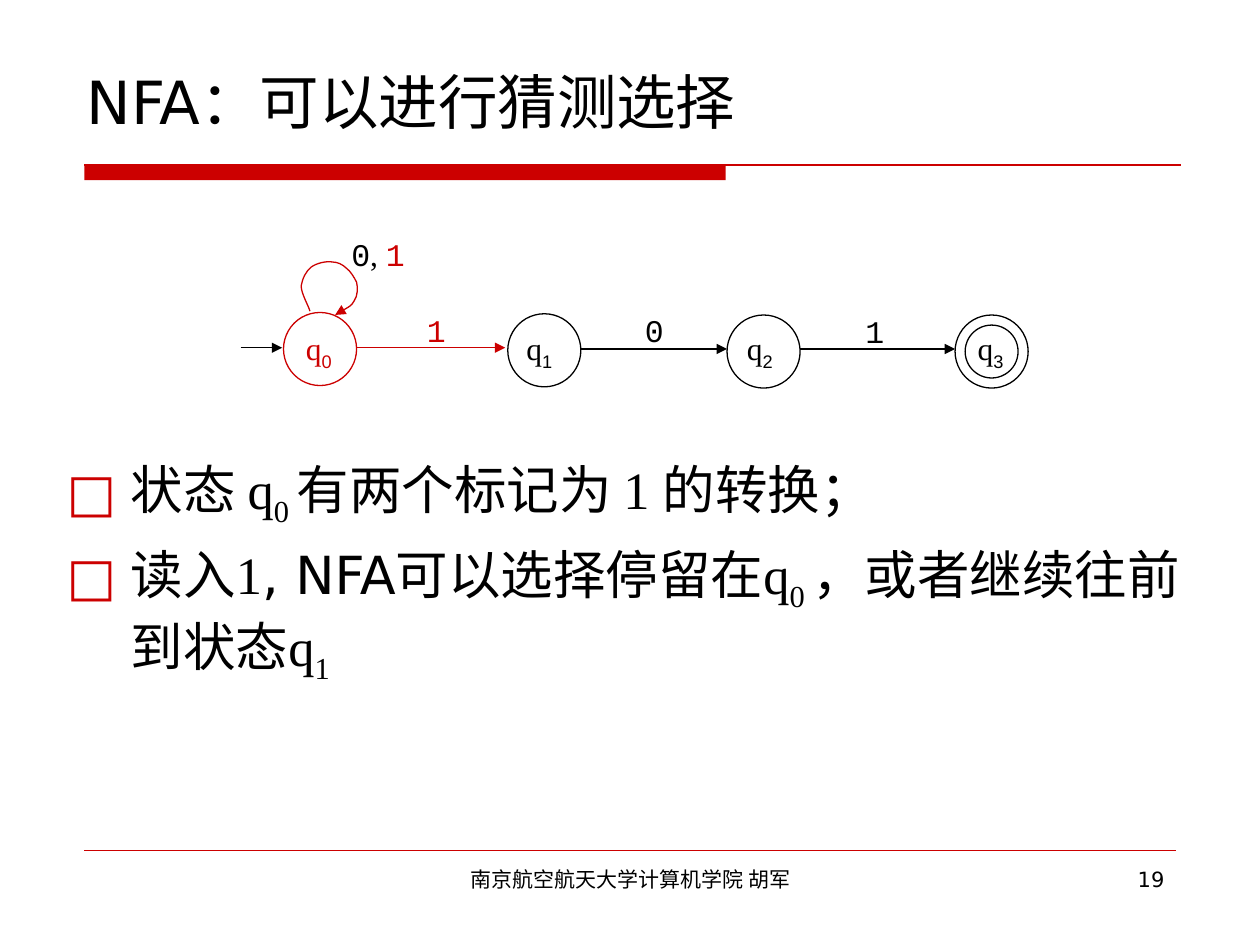
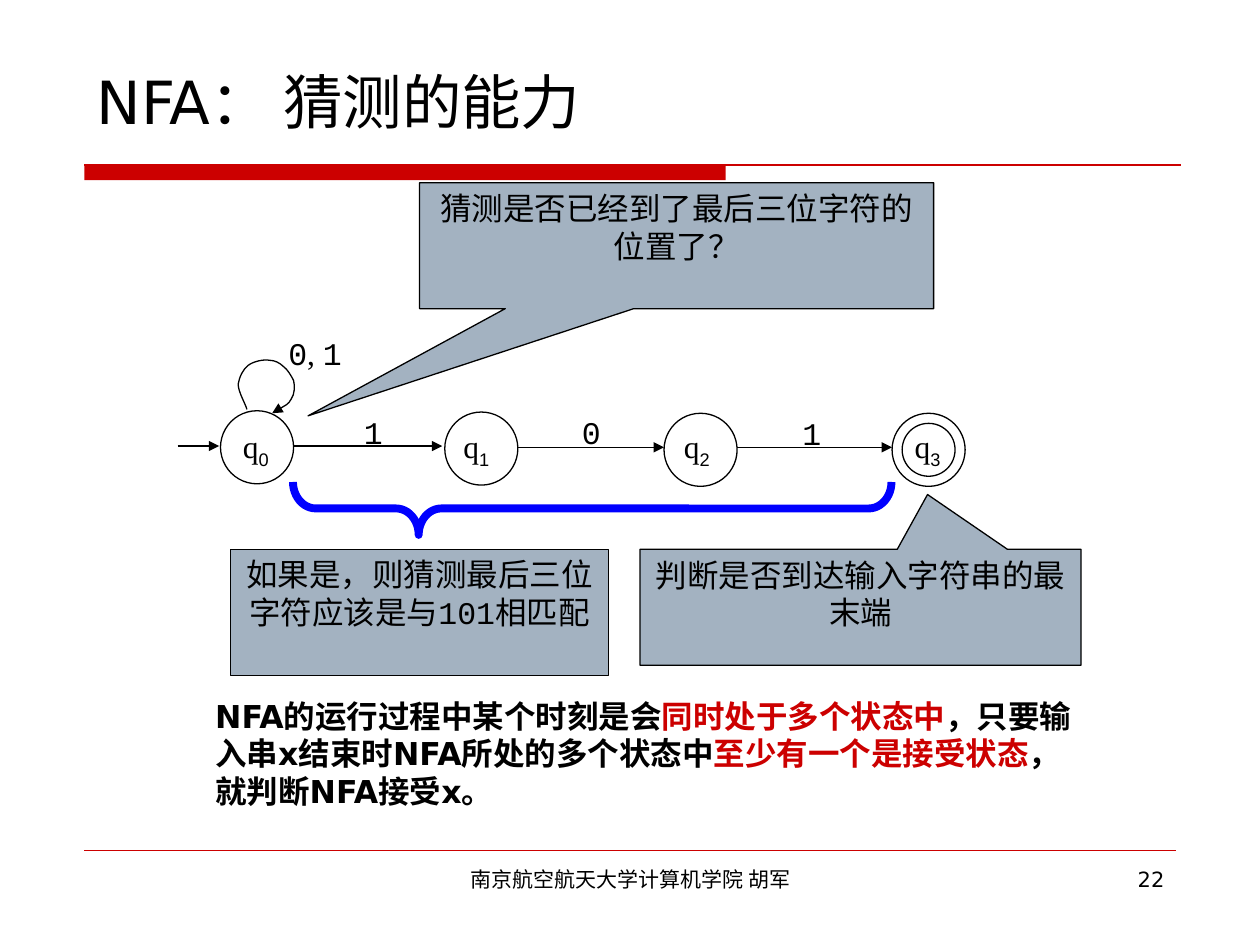
import dataclasses
from typing import Optional

import lxml.etree
import pptx
import pptx.dml.color
import pptx.enum.shapes
import pptx.enum.text
import pptx.oxml.ns
import pptx.util

Inches = pptx.util.Inches
Pt = pptx.util.Pt
Shape = pptx.enum.shapes.MSO_SHAPE
Align = pptx.enum.text.PP_ALIGN
Anchor = pptx.enum.text.MSO_ANCHOR
qn = pptx.oxml.ns.qn


@dataclasses.dataclass(frozen=True)
class Theme:
    red: str = "CC0000"
    black: str = "000000"
    white: str = "FFFFFF"
    blue: str = "0000FF"
    note: str = "A3B2C1"
    sans: str = "DejaVu Sans"
    serif: str = "Times New Roman"
    mono: str = "Courier New"
    index: str = "Arial"
    title_size: float = 34
    body_size: float = 30
    label_size: float = 18
    footer_size: float = 12
    thin: float = 0.75
    hairline: float = 0.25
    brace: float = 4.5


@dataclasses.dataclass(frozen=True)
class Span:
    text: str
    font: Optional[str] = None
    color: Optional[str] = None
    sub: bool = False


THEME = Theme()
STATES = [(0, 0, 0.08), (1.78, 0.01, 0.05), (3.52, 0.02, 0.06), (5.33, 0.02, 0.08)]
MOVES = [(0.58, 1.76, 0.28), (2.34, 3.52, 0.29), (4.07, 5.33, 0.29)]
SYMBOLS = [("1", 1.04, 0), ("0", 2.77, 0), ("1", 4.52, 0.01)]
LOOP = [
    (0.21, -0.01),
    (0.20, -0.05), (0.14, -0.15), (0.14, -0.21),
    (0.15, -0.27), (0.18, -0.33), (0.22, -0.36),
    (0.26, -0.39), (0.34, -0.41), (0.39, -0.40),
    (0.43, -0.40), (0.47, -0.38), (0.50, -0.35),
    (0.53, -0.33), (0.56, -0.28), (0.58, -0.24),
    (0.59, -0.20), (0.59, -0.13), (0.56, -0.09),
    (0.54, -0.05), (0.44, 0), (0.41, 0.02),
]


def rgb(color):
    return pptx.dml.color.RGBColor.from_string(color)


class Deck:
    def __init__(self, theme):
        self.theme = theme
        self.deck = pptx.Presentation()
        self.deck.slide_width = Inches(10)
        self.deck.slide_height = Inches(7.5)
        self.slide = None

    def new_slide(self, title, title_left, number):
        theme = self.theme
        self.slide = self.deck.slides.add_slide(self.deck.slide_layouts[6])
        self.shape(Shape.RECTANGLE, 0.67, 1.31, 5.09, 0.12, theme.red, None)
        self.line(0.67, 1.31, 9.37, 1.31, theme.red)
        self.line(0.67, 6.75, 9.33, 6.75, theme.red, theme.hairline)
        self.text(title_left, 0.44, 9.14, 0.72, [[Span(title)]],
                  theme.title_size, anchor=Anchor.MIDDLE)
        for words, left, width, align in [
            ("南京航空航天大学计算机学院 胡军", 3.42, 3.17, Align.CENTER),
            (number, 7.17, 2.17, Align.RIGHT),
        ]:
            self.text(left, 6.83, width, 0.52, [[Span(words)]],
                      theme.footer_size, align=align)

    def compose(self, frame, paragraphs, size, font=None, color=None,
                align=Align.LEFT, bold=False, bullet=None):
        for position, spans in enumerate(paragraphs):
            paragraph = frame.add_paragraph() if position else frame.paragraphs[0]
            paragraph.alignment = align
            if position:
                paragraph.space_before = Pt(7.5)
            if bullet:
                self.bullet(paragraph, bullet)
            paragraph.font.size = Pt(size)
            paragraph.font.name = font or self.theme.sans
            paragraph.font.bold = bold
            paragraph.font.color.rgb = rgb(color or self.theme.black)
            for span in spans:
                run = paragraph.add_run()
                run.text = span.text
                if span.font:
                    run.font.name = span.font
                if span.color:
                    run.font.color.rgb = rgb(span.color)
                if span.sub:
                    run._r.get_or_add_rPr().set("baseline", "-25000")

    def bullet(self, paragraph, mark):
        properties = paragraph._p.get_or_add_pPr()
        properties.set("marL", str(Inches(0.51)))
        properties.set("indent", str(-Inches(0.51)))
        tint = lxml.etree.SubElement(properties, qn("a:buClr"))
        lxml.etree.SubElement(tint, qn("a:srgbClr"), val=self.theme.red)
        lxml.etree.SubElement(properties, qn("a:buFont"), typeface=self.theme.sans)
        lxml.etree.SubElement(properties, qn("a:buChar"), char=mark)

    def text(self, left, top, width, height, paragraphs, size,
             anchor=Anchor.TOP, wrap=True, **style):
        box = self.slide.shapes.add_textbox(
            Inches(left), Inches(top), Inches(width), Inches(height))
        box.text_frame.word_wrap = wrap
        box.text_frame.vertical_anchor = anchor
        self.compose(box.text_frame, paragraphs, size, **style)

    def label(self, left, top, width, height, spans, **style):
        self.text(left, top, width, height, [spans], self.theme.label_size,
                  wrap=False, **style)

    def shape(self, kind, left, top, width, height, fill, line, weight=None):
        shape = self.slide.shapes.add_shape(
            kind, Inches(left), Inches(top), Inches(width), Inches(height))
        self.paint(shape, fill, line, weight)
        return shape

    def paint(self, shape, fill, line, weight=None):
        shape.shadow.inherit = False
        if fill:
            shape.fill.solid()
            shape.fill.fore_color.rgb = rgb(fill)
        else:
            shape.fill.background()
        if line:
            shape.line.color.rgb = rgb(line)
            shape.line.width = Pt(weight or self.theme.thin)
        else:
            shape.line.fill.background()

    def arrowhead(self, stroke):
        lxml.etree.SubElement(
            stroke.line._get_or_add_ln(), qn("a:tailEnd"), type="triangle")

    def line(self, x1, y1, x2, y2, color, weight=None, arrow=False):
        line = self.slide.shapes.add_connector(
            pptx.enum.shapes.MSO_CONNECTOR.STRAIGHT,
            Inches(x1), Inches(y1), Inches(x2), Inches(y2))
        line.line.color.rgb = rgb(color)
        line.line.width = Pt(weight or self.theme.thin)
        if arrow:
            self.arrowhead(line)
        lxml.etree.SubElement(line._element.spPr, qn("a:effectLst"))

    def curve(self, points, color):
        points = [(Inches(x), Inches(y)) for x, y in points]
        builder = self.slide.shapes.build_freeform(*points[0])
        builder.add_line_segments(points[1:], close=False)
        curve = builder.convert_to_shape()
        self.paint(curve, None, color)
        self.arrowhead(curve)
        outline = curve._element.xpath(".//a:path")[0]
        steps = outline.findall(qn("a:lnTo"))
        for first in range(0, len(steps), 3):
            bend = lxml.etree.SubElement(outline, qn("a:cubicBezTo"))
            for step in steps[first:first + 3]:
                bend.append(step[0])
                outline.remove(step)

    def note(self, kind, left, top, width, height, spans, pointer=()):
        note = self.shape(kind, left, top, width, height,
                          self.theme.note, self.theme.black)
        for position, value in enumerate(pointer):
            note.adjustments[position] = value
        note.text_frame.word_wrap = True
        note.text_frame.vertical_anchor = Anchor.TOP
        self.compose(note.text_frame, [spans], self.theme.label_size,
                     align=Align.CENTER)

    def automaton(self, left, top, symbol_top, accent):
        theme = self.theme
        colors = [accent] + [theme.black] * 3
        self.line(left - 0.34, top + 0.28, left - 0.01, top + 0.28,
                  theme.black, arrow=True)
        for (start, end, drop), color in zip(MOVES, colors):
            self.line(left + start, top + drop, left + end, top + drop,
                      color, arrow=True)
        for (x, y, _), color in zip(STATES, colors):
            self.shape(Shape.OVAL, left + x, top + y, 0.58, 0.58, theme.white, color)
        final_x, final_y, _ = STATES[-1]
        self.shape(Shape.OVAL, left + final_x + 0.08, top + final_y + 0.08,
                   0.42, 0.42, None, theme.black)
        for (symbol, x, y), color in zip(SYMBOLS, colors):
            self.label(left + x, symbol_top + y, 0.35, 0.4, [Span(symbol)],
                       font=theme.mono, color=color)
        self.curve([(left + x, top + y) for x, y in LOOP], accent)
        self.label(left + 0.44, top - 0.66, 0.63, 0.4,
                   [Span("0"), Span(", ", theme.serif), Span("1", color=accent)],
                   font=theme.mono)
        for number, ((x, _, inset), color) in enumerate(zip(STATES, colors)):
            self.label(left + x + inset, top + 0.08, 0.42, 0.44,
                       [Span("q"), Span(str(number), theme.index, sub=True)],
                       font=theme.serif, color=color)


def choice_slide(deck):
    theme = deck.theme
    deck.new_slide("NFA：可以进行猜测选择", 0.59, "19")
    deck.automaton(2.25, 2.48, 2.42, theme.red)
    q = Span("q", theme.serif)
    zero = Span("0 ", theme.serif, sub=True)
    deck.text(0.43, 3.58, 9.14, 3.4, [
        [Span("状态 "), q, zero, Span("有两个标记为 "),
         Span("1 的转换；", theme.serif)],
        [Span("读入"), Span("1", theme.serif), Span(", NFA可以选择停留在"),
         q, zero, Span("，或者继续往前到状态"),
         q, Span("1", theme.serif, sub=True)],
    ], theme.body_size, bullet="□")


def guess_slide(deck):
    theme = deck.theme
    deck.new_slide("NFA： 猜测的能力", 0.67, "22")
    deck.automaton(1.75, 3.26, 3.23, theme.black)
    deck.note(Shape.RECTANGULAR_CALLOUT, 3.33, 1.45, 4.08, 1,
              [Span("猜测是否已经到了最后三位字符的位置了？")], (-0.717, 1.351))
    brace = deck.shape(Shape.RIGHT_BRACE, 4.49, 1.66, 0.42, 4.75,
                       None, theme.blue, theme.brace)
    brace.rotation = 90
    brace.adjustments[0] = 0.43
    brace.adjustments[1] = 0.79
    deck.note(Shape.RECTANGLE, 1.83, 4.36, 3, 1,
              [Span("如果是，则猜测最后三位字符应该是与"), Span("101相匹配", theme.mono)])
    deck.note(Shape.RECTANGULAR_CALLOUT, 5.08, 4.36, 3.5, 0.92,
              [Span("判断是否到达输入字符串的最末端")], (0.152, -0.973))
    deck.text(1.61, 5.48, 7.01, 1, [[
        Span("NFA的运行过程中某个时刻是会"),
        Span("同时处于多个状态中", color=theme.red),
        Span("，只要输入串x结束时NFA所处的多个状态中"),
        Span("至少有一个是接受状态", color=theme.red),
        Span("，就判断NFA接受x。"),
    ]], theme.label_size, bold=True)


def main():
    deck = Deck(THEME)
    choice_slide(deck)
    guess_slide(deck)
    deck.deck.save("out.pptx")


if __name__ == "__main__":
    main()
